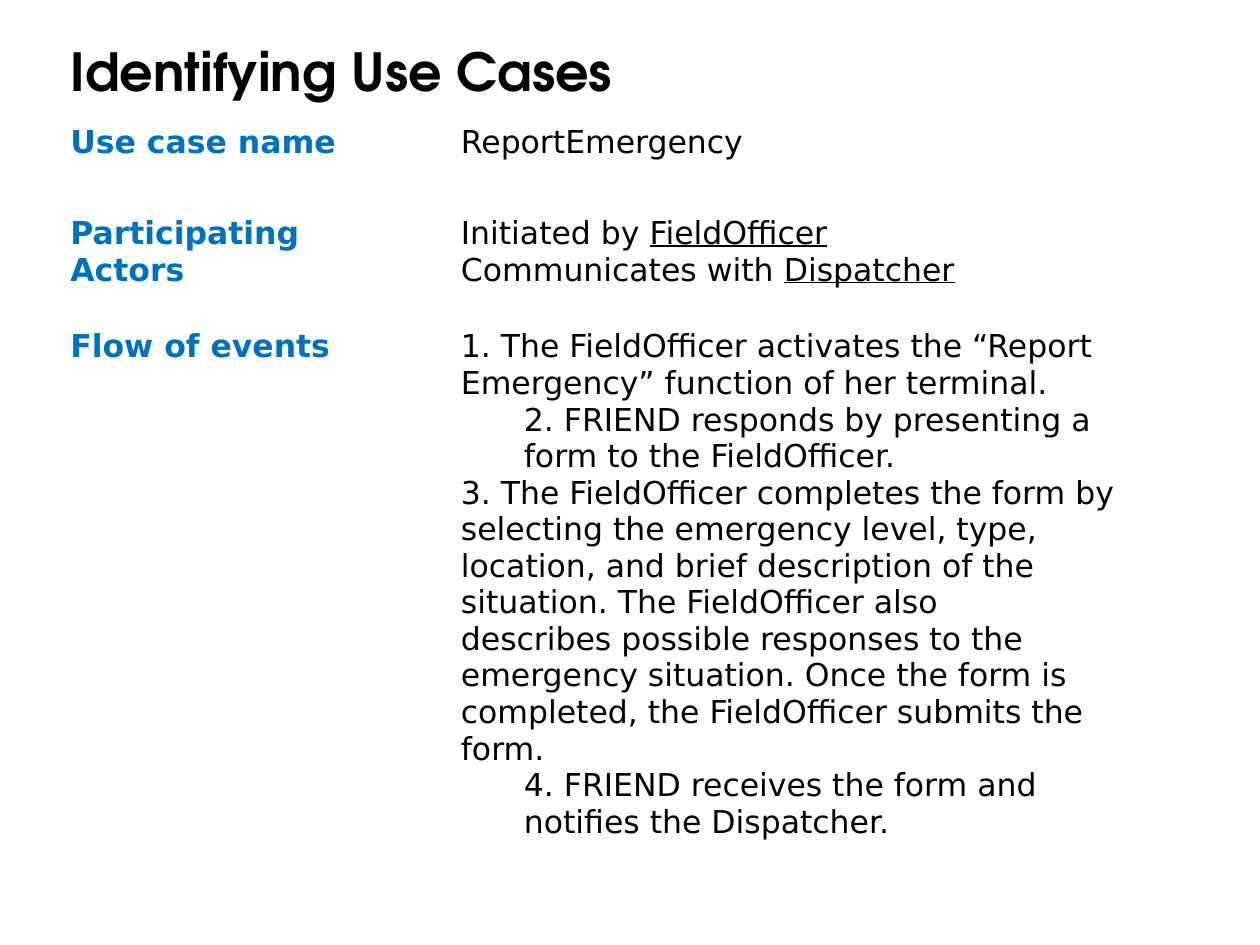
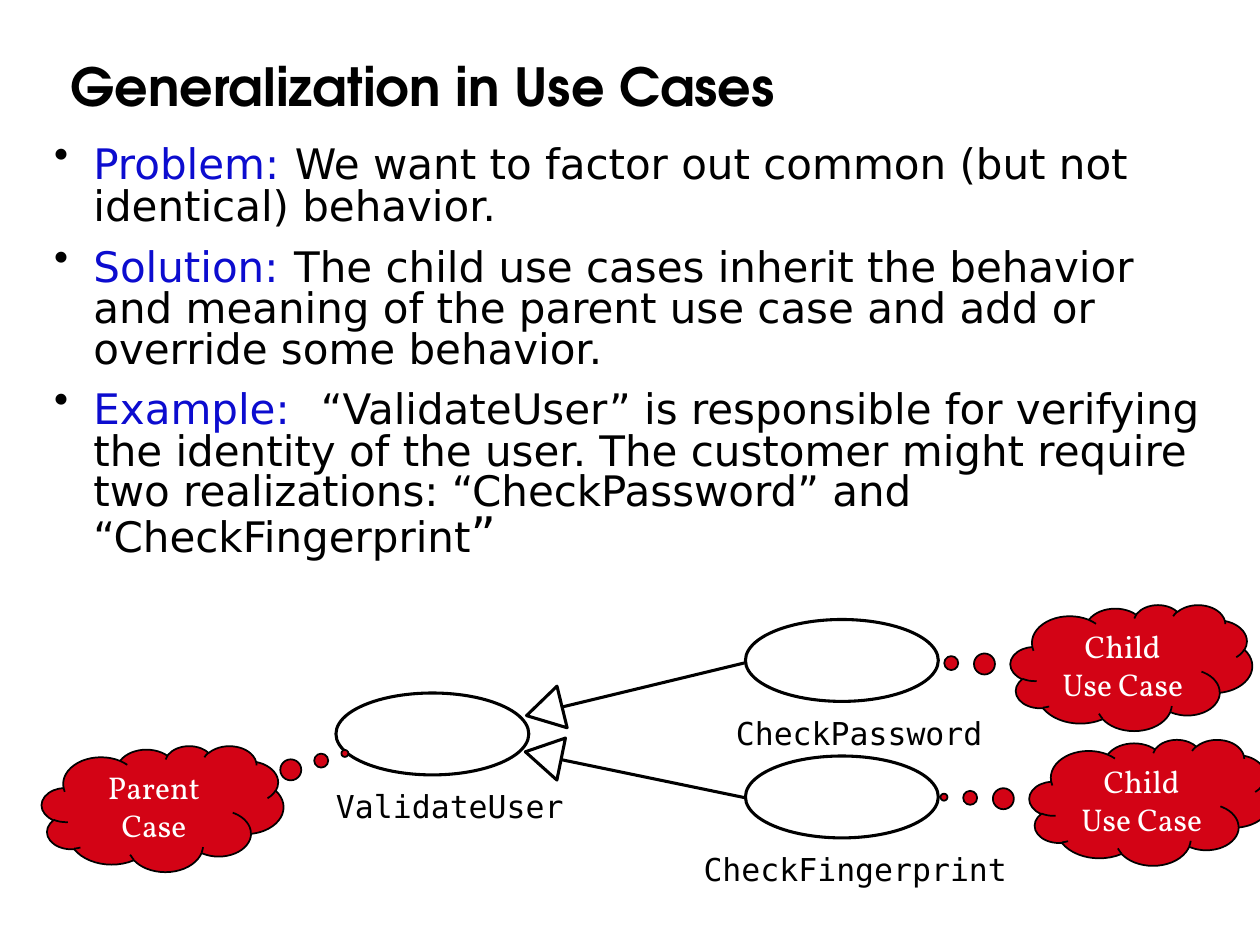
from dataclasses import dataclass

from lxml import etree
from pptx import Presentation
from pptx.dml.color import RGBColor
from pptx.enum.shapes import MSO_CONNECTOR, MSO_SHAPE
from pptx.enum.text import MSO_ANCHOR, MSO_AUTO_SIZE, PP_ALIGN
from pptx.oxml.ns import qn
from pptx.shapes.autoshape import Shape
from pptx.shapes.connector import Connector
from pptx.slide import Slide
from pptx.text.text import TextFrame
from pptx.util import Pt

STRAIGHT = MSO_CONNECTOR.STRAIGHT
ELLIPSE, TRIANGLE = MSO_SHAPE.OVAL, MSO_SHAPE.ISOSCELES_TRIANGLE
CLOUD = MSO_SHAPE.CLOUD_CALLOUT
MIDDLE, LEFT, CENTER = MSO_ANCHOR.MIDDLE, PP_ALIGN.LEFT, PP_ALIGN.CENTER
FIT_NONE, FIT_SHAPE = MSO_AUTO_SIZE.NONE, MSO_AUTO_SIZE.SHAPE_TO_FIT_TEXT
TITLE_ONLY = 5

COLORS = {
    "black": "000000",
    "white": "FFFFFF",
    "heading": "0070C0",
    "keyword": "0C0CCF",
    "cloud": "D30315",
}
FORMATS = {
    "title": {"name": "TeX Gyre Adventor", "size": Pt(30), "bold": True},
    "heading": {"name": "DejaVu Sans", "size": Pt(18), "bold": True},
    "cell": {"name": "DejaVu Sans", "size": Pt(18), "bold": False},
    "actor": {"name": "DejaVu Sans", "size": Pt(18), "bold": False, "underline": True},
    "body": {"name": "DejaVu Sans", "size": Pt(24)},
    "large": {"name": "DejaVu Sans", "size": Pt(28)},
    "label": {"name": "DejaVu Sans Mono", "size": Pt(18)},
    "cloud": {"name": "Vollkorn", "size": Pt(18)},
}
NO_INSETS = dict.fromkeys(("margin_left", "margin_top", "margin_right", "margin_bottom"), 0)


@dataclass(frozen=True)
class Run:
    text: str
    style: str
    color: str = "black"


@dataclass(frozen=True)
class Paragraph:
    runs: tuple[Run, ...]
    indent: float = 0
    hanging: float = 0


@dataclass(frozen=True)
class UseCase:
    name: str
    left: float
    top: float
    label_left: float


@dataclass(frozen=True)
class Cloud:
    lines: tuple[str, ...]
    left: float
    top: float
    tail: tuple[float, float]


@dataclass(frozen=True)
class Generalization:
    head_left: float
    head_top: float
    rotation: float
    start: tuple[float, float]
    end: tuple[float, float]


def plain(text: str, style: str = "cell", color: str = "black", indent: float = 0) -> Paragraph:
    return Paragraph((Run(text, style, color),), indent)


def heading(*lines: str) -> list[Paragraph]:
    return [plain(line, "heading", "heading") for line in lines]


def bullet(keyword: str, gap: str, *runs: Run) -> Paragraph:
    return Paragraph((Run(keyword, "body", "keyword"), Run(gap, "large"), *runs), 22.5, 22.5)


USE_CASE_ROWS = [
    (heading("Use case name"), [plain("ReportEmergency")]),
    (
        heading("Participating", "Actors"),
        [
            Paragraph((Run("Initiated by ", "cell"), Run("FieldOfficer", "actor"))),
            Paragraph((Run("Communicates with ", "cell"), Run("Dispatcher", "actor"))),
        ],
    ),
    (
        heading("Flow of events"),
        [
            plain("1. The FieldOfficer activates the “Report Emergency” function of her terminal."),
            plain("2. FRIEND responds by presenting a form to the FieldOfficer.", indent=36),
            plain("3. The FieldOfficer completes the form by selecting the emergency level, type,"),
            plain("location, and brief description of the situation. The FieldOfficer also"),
            plain("describes possible responses to the emergency situation. Once the form is"),
            plain("completed, the FieldOfficer submits the form."),
            plain("4. FRIEND receives the form and notifies the Dispatcher.", indent=36),
        ],
    ),
]
BULLETS = [
    bullet("Problem:", " ",
           Run("We want to factor out common (but not identical) behavior.", "body")),
    bullet("Solution:", " ",
           Run("The child use cases inherit the behavior and meaning of the parent use case "
               "and add or override some behavior.", "body")),
    bullet("Example:", "  ",
           Run("“ValidateUser” is responsible for verifying the identity of the user. "
               "The customer might require two realizations: “CheckPassword” and "
               "“CheckFingerprint", "body"),
           Run("”", "large")),
]
CHILD_LINES, CHILD_TAIL = ("Child", "Use Case"), (-0.853, -0.042)
# Listed from back to front: ellipses cover the bubbles of earlier clouds.
DIAGRAM = [
    UseCase("ValidateUser", 192, 396, 192),
    Cloud(("Parent", "Case"), 23.8, 426.2, (0.754, -0.439)),
    Cloud(CHILD_LINES, 577.4, 345.6, CHILD_TAIL),
    UseCase("CheckPassword", 426, 354, 420.5),
    Generalization(298.8, 396, 256.3, (321.2, 404), (425.5, 378.8)),
    UseCase("CheckFingerprint", 426, 432, 402),
    Generalization(298.2, 421.2, 281.5, (321.2, 434.2), (425.5, 455.8)),
    Cloud(CHILD_LINES, 588.2, 422.6, CHILD_TAIL),
]


def rgb(color: str) -> RGBColor:
    return RGBColor.from_string(COLORS[color])


def set_attributes(target: object, values: dict[str, object]) -> None:
    for name, value in values.items():
        setattr(target, name, value)


def write(frame: TextFrame, paragraphs: list[Paragraph], **layout: object) -> None:
    """Fill a frame; layout values are applied to every paragraph."""
    for index, content in enumerate(paragraphs):
        paragraph = frame.add_paragraph() if index else frame.paragraphs[0]
        set_attributes(paragraph, layout)
        if content.indent:
            properties = paragraph._p.get_or_add_pPr()
            properties.set("marL", str(Pt(content.indent)))
            properties.set("indent", str(-Pt(content.hanging)))
            if content.hanging:
                bullet_color = etree.SubElement(properties, qn("a:buClr"))
                etree.SubElement(bullet_color, qn("a:srgbClr"), val=COLORS["black"])
                etree.SubElement(properties, qn("a:buChar"), char="•")
        for item in content.runs:
            run = paragraph.add_run()
            run.text = item.text
            set_attributes(run.font, FORMATS[item.style])
            run.font.color.rgb = rgb(item.color)


def add_titled_slide(presentation: Presentation, title: str, top: float) -> Slide:
    slide = presentation.slides.add_slide(presentation.slide_layouts[TITLE_ONLY])
    shape = slide.shapes.title
    set_attributes(shape, {"left": Pt(33), "top": Pt(top), "width": Pt(642), "height": Pt(67.7)})
    set_attributes(shape.text_frame, {"vertical_anchor": MIDDLE, "auto_size": FIT_NONE})
    write(shape.text_frame, [plain(title, "title")], alignment=LEFT, line_spacing=0.9)
    return slide


def add_use_case_table(slide: Slide) -> None:
    widths, heights = (223.2, 406.8), (51.8, 64.8, 309.6)
    table = slide.shapes.add_table(
        len(heights), len(widths), Pt(33), Pt(67.7), Pt(sum(widths)), Pt(sum(heights))
    ).table
    set_attributes(table, {"first_row": False, "horz_banding": False})
    for column, width in zip(table.columns, widths):
        column.width = Pt(width)
    for row, height, contents in zip(table.rows, heights, USE_CASE_ROWS):
        row.height = Pt(height)
        for cell, paragraphs in zip(row.cells, contents):
            cell.fill.solid()
            cell.fill.fore_color.rgb = rgb("white")
            write(cell.text_frame, paragraphs)


def add_outlined(slide: Slide, kind: MSO_SHAPE, left: float, top: float, width: float,
                 height: float, fill: str = "white", weight: float = 1.75) -> Shape:
    shape = slide.shapes.add_shape(kind, Pt(left), Pt(top), Pt(width), Pt(height))
    shape.shadow.inherit = False
    shape.fill.solid()
    shape.fill.fore_color.rgb = rgb(fill)
    outline(shape, weight)
    return shape


def outline(shape: Shape | Connector, weight: float) -> None:
    shape.line.color.rgb = rgb("black")
    shape.line.width = Pt(weight)


def add_use_case(slide: Slide, case: UseCase) -> None:
    add_outlined(slide, ELLIPSE, case.left, case.top, 110.2, 46.8)
    label = slide.shapes.add_textbox(
        Pt(case.label_left), Pt(case.top + 54), Pt(10.84 * len(case.name)), Pt(21.6)
    )
    frame = label.text_frame
    set_attributes(frame, {**NO_INSETS, "word_wrap": False, "auto_size": FIT_SHAPE})
    write(frame, [plain(case.name, "label")])


def add_cloud(slide: Slide, cloud: Cloud) -> None:
    shape = add_outlined(slide, CLOUD, cloud.left, cloud.top, 138.2, 72, "cloud", 1)
    for index, value in enumerate(cloud.tail):
        shape.adjustments[index] = value
    set_attributes(shape.text_frame, {"word_wrap": False, "vertical_anchor": MIDDLE})
    lines = [plain(line, "cloud", "white") for line in cloud.lines]
    write(shape.text_frame, lines, alignment=CENTER)


def add_generalization(slide: Slide, arrow: Generalization) -> None:
    head = add_outlined(slide, TRIANGLE, arrow.head_left, arrow.head_top, 24.5, 20.9)
    head.rotation = arrow.rotation
    ends = [Pt(value) for value in (*arrow.start, *arrow.end)]
    connector = slide.shapes.add_connector(STRAIGHT, *ends)
    outline(connector, 1.75)
    etree.SubElement(connector._element.spPr, qn("a:effectLst"))


def add_bullets(slide: Slide) -> None:
    box = slide.shapes.add_textbox(Pt(23.8), Pt(77.8), Pt(674.6), Pt(247.7))
    box.text_frame.word_wrap = True
    write(box.text_frame, BULLETS, line_spacing=0.8, space_before=Pt(8.4))


def main() -> None:
    presentation = Presentation()
    set_attributes(presentation, {"slide_width": Pt(720), "slide_height": Pt(540)})

    add_use_case_table(add_titled_slide(presentation, "Identifying Use Cases", 8.6))

    slide = add_titled_slide(presentation, "Generalization in Use Cases", 17.3)
    add_bullets(slide)
    painters = {UseCase: add_use_case, Cloud: add_cloud, Generalization: add_generalization}
    for element in DIAGRAM:
        painters[type(element)](slide, element)

    presentation.save("out.pptx")


if __name__ == "__main__":
    main()
